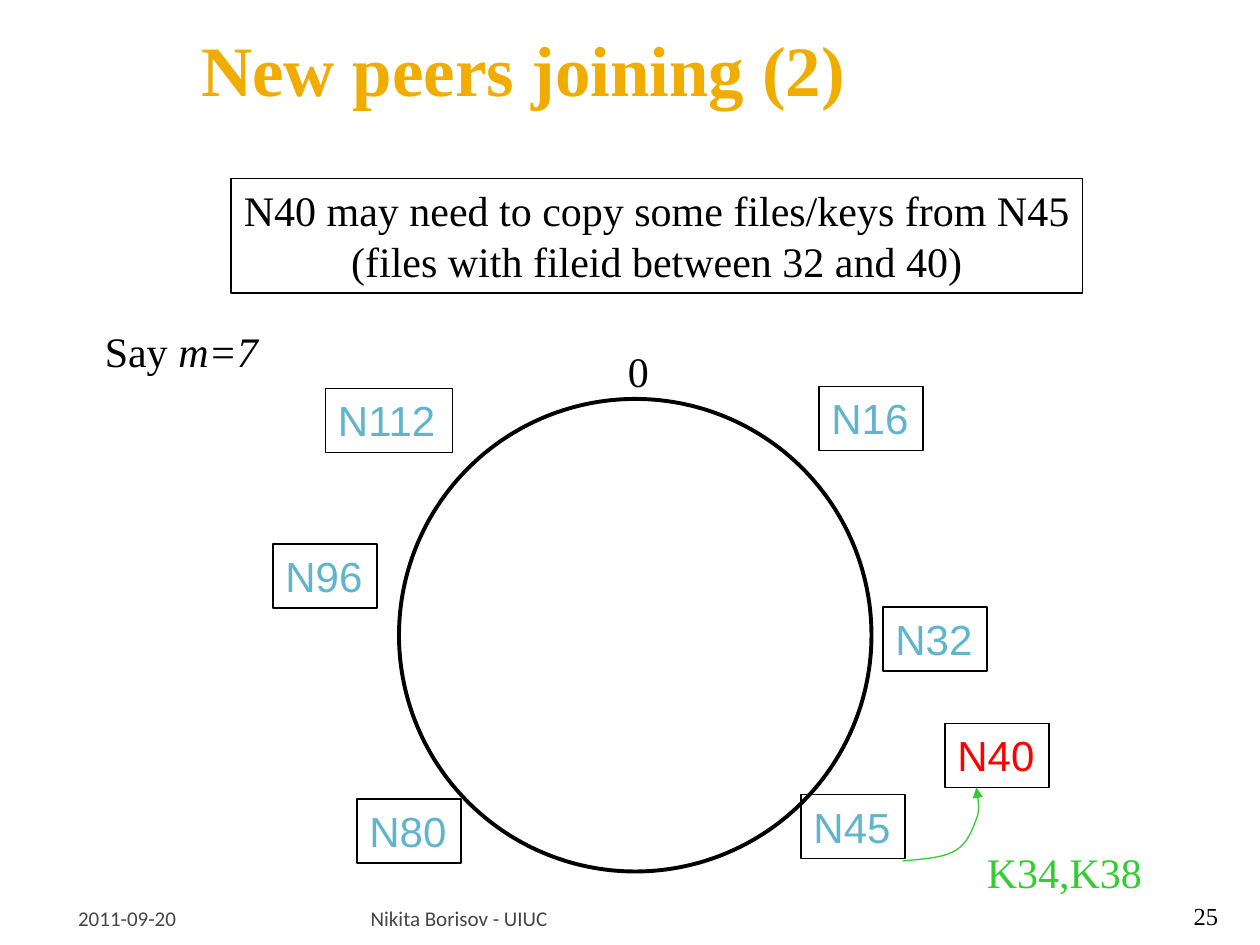
from pptx import Presentation, util as u
from pptx.dml.color import RGBColor
from pptx.enum import shapes, text
from pptx.oxml.ns import qn
from lxml import etree

COLUMNS, ROWS = 120, 90
SERIF, SANS, FOOT = "Times New Roman", "Arial", "Calibri"
BLACK, WHITE, GOLD, BLUE = "000000", "FFFFFF", "F0AD00", "60B5CC"
RED, GREEN, GREY = "FF0000", "33CC33", "454545"
LEFT, CENTER, RIGHT = text.PP_ALIGN.LEFT, text.PP_ALIGN.CENTER, text.PP_ALIGN.RIGHT
TOP, MIDDLE, BOTTOM = text.MSO_ANCHOR.TOP, text.MSO_ANCHOR.MIDDLE, text.MSO_ANCHOR.BOTTOM

deck = Presentation()
deck.slide_width, deck.slide_height = u.Inches(10), u.Inches(7.5)
slide = deck.slides.add_slide(deck.slide_layouts[6])


def color(value):
    return RGBColor.from_string(value)


def grid(left, top, width, height):
    column, row = deck.slide_width / COLUMNS, deck.slide_height / ROWS
    return [round(n * step) for n, step in zip((left, top, width, height), (column, row) * 2)]


def inside(box, left, top, width, height):
    return box[0] + left, box[1] + top, width, height


def outline(shape, line, points):
    shape.shadow.inherit = False
    shape.line.color.rgb = color(line)
    shape.line.width = u.Pt(points)


def write(shape, lines, size, font, ink, align=LEFT, anchor=TOP,
          insets=(0.1, 0.05, 0.1, 0.05), wrap=False, bold=False):
    frame = shape.text_frame
    frame.word_wrap = wrap
    frame.vertical_anchor = anchor
    frame.margin_left, frame.margin_top, frame.margin_right, frame.margin_bottom = map(u.Inches, insets)
    for index, runs in enumerate(lines):
        paragraph = frame.add_paragraph() if index else frame.paragraphs[0]
        paragraph.alignment = align
        for words, italic in runs:
            run = paragraph.add_run()
            run.text = words
            run.font.name, run.font.size = font, u.Pt(size)
            run.font.bold, run.font.italic = bold, italic
            run.font.color.rgb = color(ink)


def label(box, lines, size, font, ink, **style):
    write(slide.shapes.add_textbox(*grid(*box)), lines, size, font, ink, **style)


def framed(box, lines, font, ink, align=LEFT, points=0.75):
    frame = slide.shapes.add_shape(shapes.MSO_SHAPE.RECTANGLE, *grid(*box))
    frame.fill.background()
    outline(frame, BLACK, points)
    write(frame, lines, 24, font, ink, align)


def heading(box):
    label(box, [[("New peers joining (2)", False)]], 40.5, SERIF, GOLD,
          anchor=MIDDLE, insets=(0.1, 0.05, 0.05, 0.05), wrap=True, bold=True)


def copy_note(box):
    framed(box, [[("N40 may need to copy some files/keys from N45", False)],
                 [("(files with fileid between 32 and 40)", False)]], SERIF, BLACK, CENTER)


def bezier(start, first, second, end, steps=12):
    for step in range(1, steps + 1):
        t = step / steps
        yield tuple((1 - t) ** 3 * a + 3 * t * (1 - t) ** 2 * b + 3 * t * t * (1 - t) * c + t ** 3 * d
                    for a, b, c, d in zip(start, first, second, end))


def key_transfer(box):
    start = (60, 52)
    bends = [((62, 51.8), (63.9, 51.7), (65, 51)),
             ((66.2, 50.3), (66.6, 49), (67, 48)),
             ((67.4, 47), (67.1, 46), (67, 45))]
    route = [start]
    for bend in bends:
        route.extend(bezier(route[-1], *bend))
    points = [grid(*inside(box, x, y, 0, 0))[:2] for x, y in route]
    builder = slide.shapes.build_freeform(*points[0])
    builder.add_line_segments(points[1:], close=False)
    arrow = builder.convert_to_shape()
    arrow.fill.background()
    outline(arrow, GREEN, 0.75)
    etree.SubElement(arrow.line._get_or_add_ln(), qn("a:tailEnd"), type="triangle")


def ring(box):
    circle = slide.shapes.add_shape(shapes.MSO_SHAPE.OVAL, *grid(*inside(box, 12, 8, 45, 45)))
    circle.fill.background()
    outline(circle, BLACK, 2.25)
    label(inside(box, 32.6, 2.3, 4.4, 6), [[("0", False)]], 24, SERIF, BLACK, align=CENTER, anchor=MIDDLE)
    peers = [("N80", 8, 46.1, 0.75, BLUE), ("N32", 58.1, 27.8, 0.75, BLUE),
             ("N45", 50.3, 45.7, 0.75, BLUE), ("N112", 5, 7, 1, BLUE),
             ("N96", 0, 21.8, 1, BLUE), ("N16", 52, 6.8, 1, BLUE),
             ("N40", 64, 38.9, 0.75, RED)]
    for peer, left, top, points, ink in peers:
        width = 9.9 if len(peer) == 3 else 12.1
        framed(inside(box, left, top, width, 6.1), [[(peer, False)]], SANS, ink, points=points)
    keys = slide.shapes.add_shape(shapes.MSO_SHAPE.RECTANGLE, *grid(*inside(box, 66.8, 50, 17.2, 6)))
    keys.shadow.inherit = False
    keys.fill.solid()
    keys.fill.fore_color.rgb = color(WHITE)
    keys.line.fill.background()
    write(keys, [[("K34,K38", False)]], 24, SERIF, GREEN)
    key_transfer(box)


def footer(box):
    parts = [("2011-09-20", 0, 28, 12, FOOT, GREY, LEFT, 0.12, 0.05),
             ("Nikita Borisov - UIUC", 28.7, 72.2, 12, FOOT, GREY, LEFT, 0.05, 0.05),
             ("25", 101.6, 9.6, 14, SERIF, BLACK, RIGHT, 0.1, 0.1)]
    for words, left, width, size, font, ink, align, before, after in parts:
        label(inside(box, left, 0, width, box[3]), [[(words, False)]], size, font, ink,
              align=align, anchor=BOTTOM, insets=(before, 0.05, after, 0), wrap=True)


heading((18, 2, 102, 9))
copy_note((22, 17, 81.1, 10.9))
label((8.8, 30.4, 17, 6), [[("Say ", False), ("m=7", True)]], 24, SERIF, BLACK)
ring((26, 30, 84, 56))
footer((6, 85, 111.2, 3.6))
deck.save("out.pptx")
